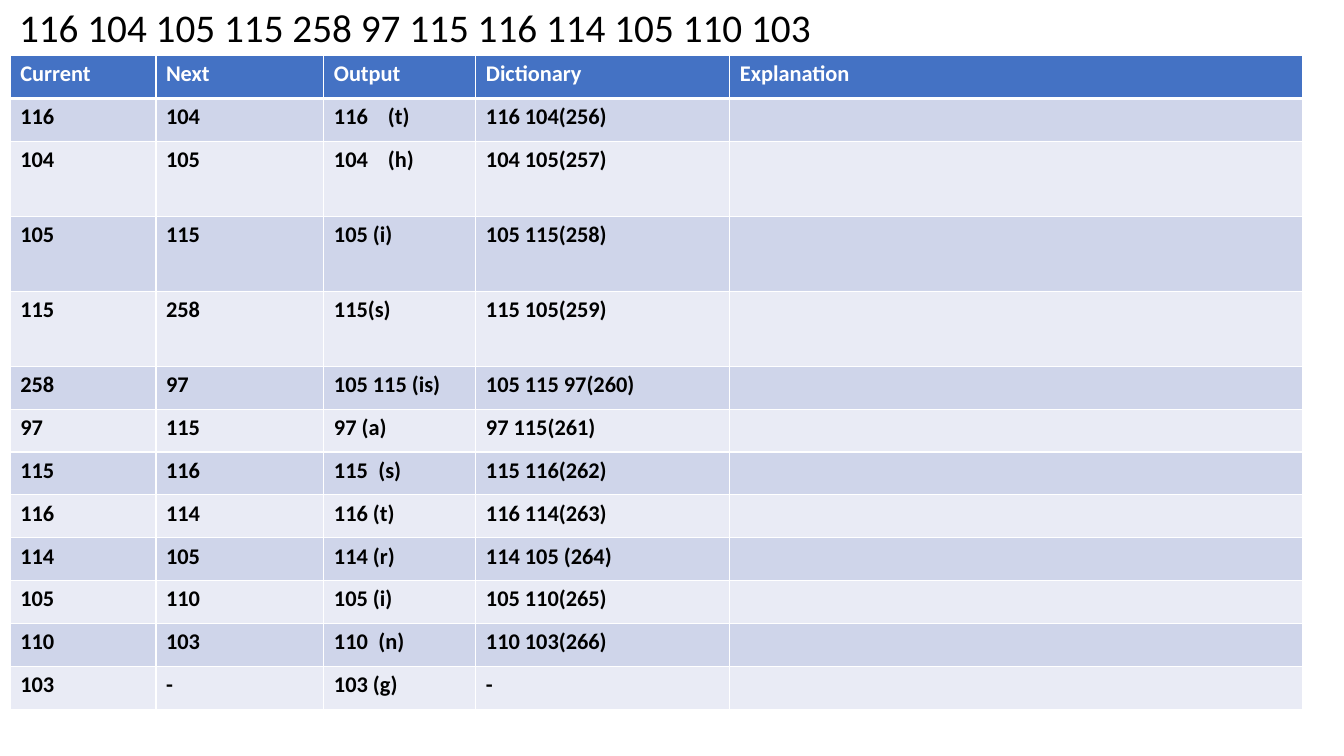
from lxml.etree import SubElement as Sub
from pptx import Presentation as Deck
from pptx.dml.color import RGBColor as RGB
from pptx.oxml import parse_xml as to_xml
from pptx.oxml.ns import nsdecls, qn
from pptx.util import Cm, Pt

WHITE = RGB(0xFF, 0xFF, 0xFF)
BLACK = RGB(0, 0, 0)
BLUE = RGB(0x44, 0x72, 0xC4)
BANDS = RGB(0xE9, 0xEB, 0xF5), RGB(0xCF, 0xD5, 0xEA)

CODES = "116 104 105 115 258 97 115 116 114 105 110 103"
ROWS = [
    ("Current", "Next", "Output", "Dictionary", "Explanation"),
    ("116", "104", "116\t(t)", "116 104(256)", ""),
    ("104", "105", "104\t(h)", "104 105(257)", ""),
    ("105", "115", "105 (i)", "105 115(258)", ""),
    ("115", "258", "115(s)", "115 105(259)", ""),
    ("258", "97", "105 115 (is)", "105 115 97(260)", ""),
    ("97", "115", "97 (a)", "97 115(261)", ""),
    ("115", "116", "115\t(s)", "115 116(262)", ""),
    ("116", "114", "116 (t)", "116 114(263)", ""),
    ("114", "105", "114 (r)", "114 105 (264)", ""),
    ("105", "110", "105 (i)", "105 110(265)", ""),
    ("110", "103", "110\t(n)", "110 103(266)", ""),
    ("103", "-", "103 (g)", "-", ""),
]
WIDTHS = 3.67, 4.23, 3.83, 6.4, 14.42
LOW, TALL = 1.08, 1.89
TALL_ROWS = 2, 3, 4
WIDE_ROWS = 1, 2
WIDE_TAB, TAB = 1.36, 1.12


def write(frame, text, size=16, color=BLACK, bold=True, lead=None, tab=None):
    """Put one formatted paragraph into a text frame."""
    para = frame.paragraphs[0]
    para.line_spacing = lead
    if tab:
        stops = Sub(para._p.get_or_add_pPr(), qn("a:tabLst"))
        Sub(stops, qn("a:tab"), pos=str(Cm(tab)), algn="l")
    run = para.add_run()
    run.text = text
    font = run.font
    font.name, font.size, font.bold = "Calibri", Pt(size), bold
    font.color.rgb = color


def edge(cell, **sides):
    """Draw white cell borders, with a width in points for each side."""
    props = cell._tc.get_or_add_tcPr()
    for spot, (side, width) in enumerate(sides.items()):
        props.insert(spot, to_xml(
            f'<a:ln{side} {nsdecls("a")} w="{Pt(width)}"><a:solidFill>'
            f'<a:srgbClr val="{WHITE}"/></a:solidFill></a:ln{side}>'))


def title(slide, left, top, width, height):
    """Place the code sequence at the top of the given box."""
    box = slide.shapes.add_textbox(Cm(left), Cm(top), Cm(width), Cm(height))
    box.text_frame.word_wrap = True
    write(box.text_frame, CODES, size=28, bold=False, lead=0.9)


def steps(slide, left, top, width, height):
    """Fill the given box with the table of decoding steps."""
    grid = slide.shapes.add_table(len(ROWS), len(WIDTHS), Cm(left), Cm(top),
                                  Cm(width), Cm(height)).table
    for col, size in zip(grid.columns, WIDTHS):
        col.width = Cm(size * width / sum(WIDTHS))
    for r, texts in enumerate(ROWS):
        grid.rows[r].height = Cm(TALL if r in TALL_ROWS else LOW)
        for c, text in enumerate(texts):
            cell = grid.cell(r, c)
            cell.fill.solid()
            cell.fill.fore_color.rgb = BANDS[r % 2] if r else BLUE
            edge(cell, L=1, R=1, T=3 if r == 1 else 1, B=1 if r else 3)
            if text:
                gap = WIDE_TAB if r in WIDE_ROWS else TAB
                write(cell.text_frame, text, color=BLACK if r else WHITE,
                      tab=gap if "\t" in text else None)


def main():
    """Build the slide and save it."""
    deck = Deck()
    deck.slide_width, deck.slide_height = Cm(33.87), Cm(19.05)
    slide = deck.slides.add_slide(deck.slide_layouts[6])
    title(slide, 0.23, 0.1, 33.4, 18.44)
    steps(slide, 0.26, 1.4, 32.56, 16.47)
    deck.save("out.pptx")


if __name__ == "__main__":
    main()
